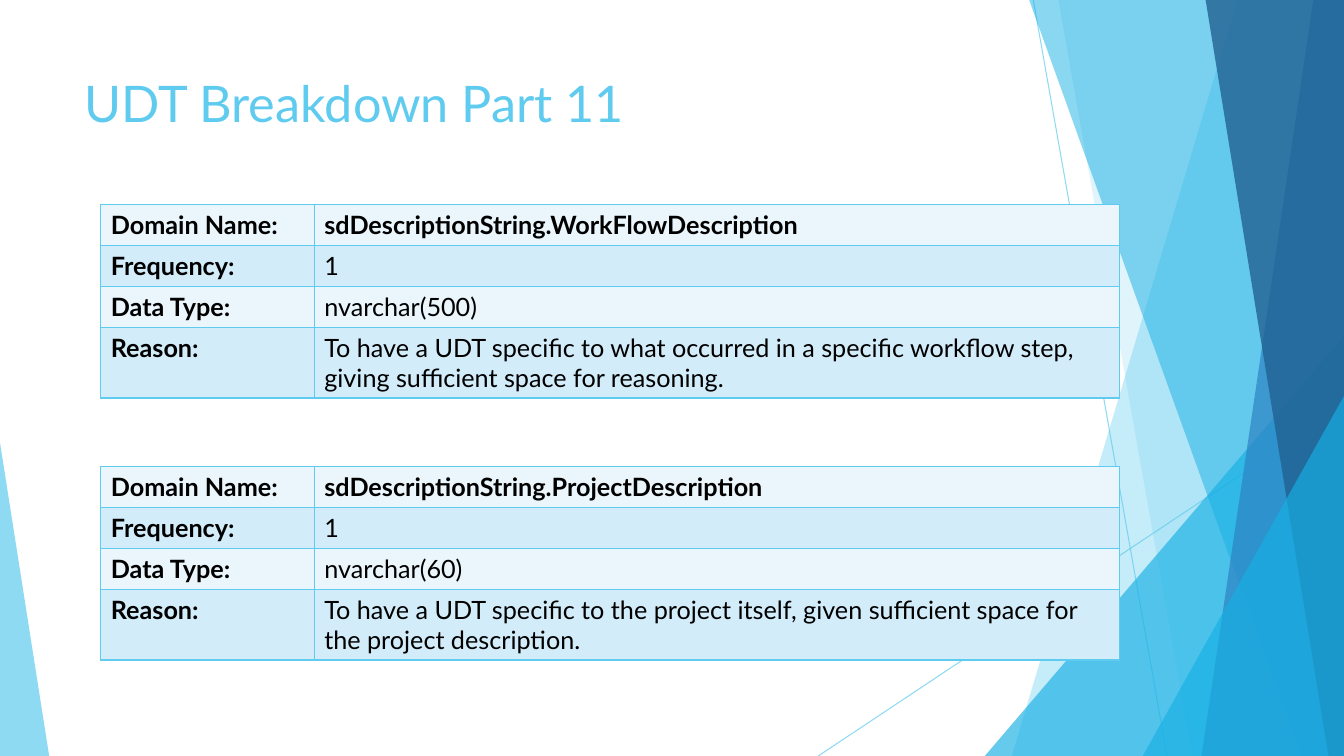
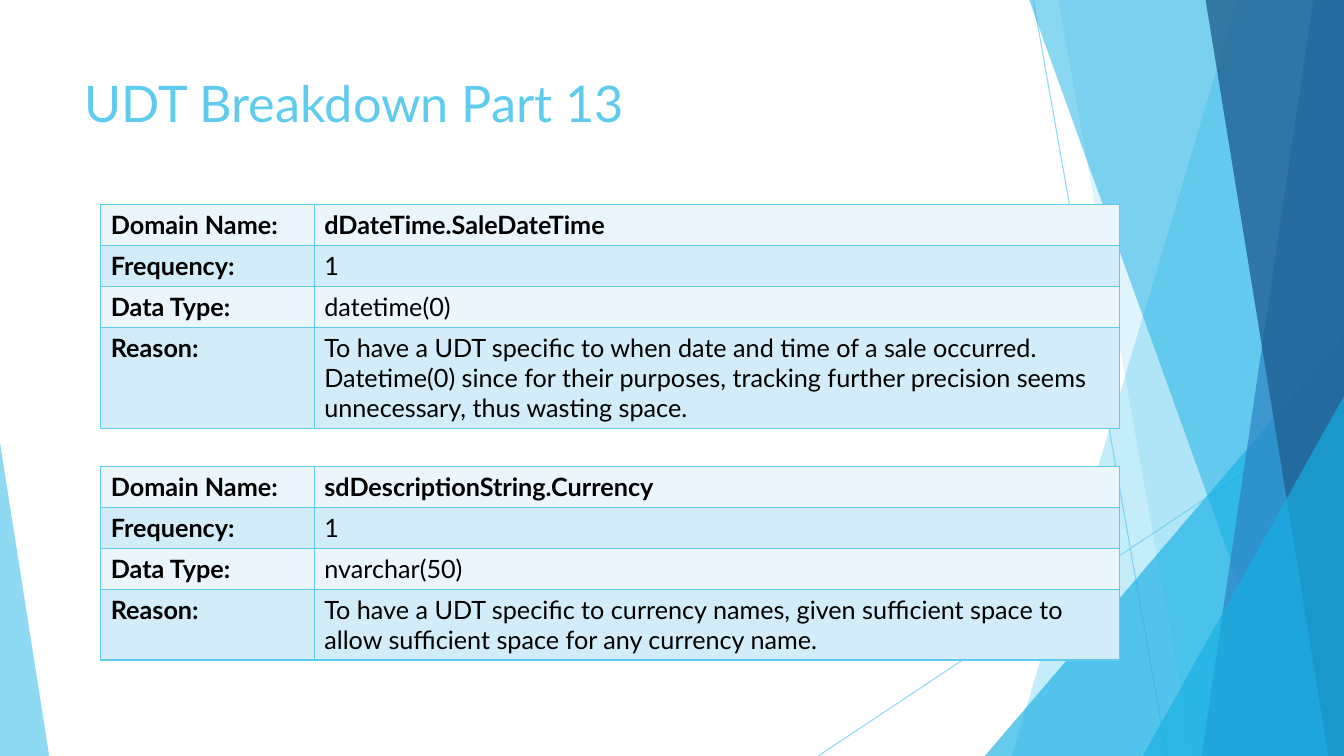
import pptx
import pptx.util
import pptx.dml.color
import pptx.enum.shapes
import pptx.enum.text
import pptx.oxml
import pptx.oxml.ns
from lxml import etree

Cm = pptx.util.Cm
Pt = pptx.util.Pt
RGB = pptx.dml.color.RGBColor.from_string
qn = pptx.oxml.ns.qn

THEME = {
    "sky": "5FCBEF",
    "cyan": "17B0E4",
    "blue": "2E83C3",
    "navy": "226292",
    "text": "000000",
    "bands": ["EAF6FC", "D2ECF9"],
    "title_font": {"name": "Lato", "size": Pt(36), "bold": False},
    "table_font": {"name": "Lato", "size": Pt(18)},
    "rule": Pt(0.75),
    "border": Pt(1),
}

LABELS = ["Domain Name:", "Frequency:", "Data Type:", "Reason:"]
BREAKDOWNS = [
    ("UDT Breakdown Part 11", [
        ["sdDescriptionString.WorkFlowDescription", "1", "nvarchar(500)",
         "To have a UDT specific to what occurred in a specific workflow step, "
         "giving sufficient space for reasoning."],
        ["sdDescriptionString.ProjectDescription", "1", "nvarchar(60)",
         "To have a UDT specific to the project itself, given sufficient space for "
         "the project description."],
    ]),
    ("UDT Breakdown Part 13", [
        ["dDateTime.SaleDateTime", "1", "datetime(0)",
         "To have a UDT specific to when date and time of a sale occurred.\v"
         "Datetime(0) since for their purposes, tracking further precision seems "
         "unnecessary, thus wasting space."],
        ["sdDescriptionString.Currency", "1", "nvarchar(50)",
         "To have a UDT specific to currency names, given sufficient space to "
         "allow sufficient space for any currency name."],
    ]),
]
TABLE_TOPS = [Cm(5.16), Cm(11.76)]
COLUMN_WIDTHS = [Cm(5.38), Cm(20.29)]
ROW_HEIGHT = Cm(1.03)


def set_opacity(part, percent):
    for color in part.element.iter(qn("a:srgbClr")):
        etree.SubElement(color, qn("a:alpha"), val=str(percent * 1000))


def format_runs(text_frame, formats, color):
    for paragraph in text_frame.paragraphs:
        for run in paragraph.runs:
            for attribute, value in formats.items():
                setattr(run.font, attribute, value)
            run.font.color.rgb = RGB(color)


prs = pptx.Presentation()
prs.slide_width = Cm(33.87)
prs.slide_height = Cm(19.05)
right, bottom = prs.slide_width, prs.slide_height

layout = prs.slide_layouts[5]
title_area = {"left": Cm(1.88), "top": Cm(1.7), "width": Cm(23.88), "height": Cm(3.12)}
for attribute, value in title_area.items():
    setattr(layout.placeholders[0], attribute, value)

for heading, domains in BREAKDOWNS:
    slide = prs.slides.add_slide(layout)
    title = slide.shapes.title
    title.text = heading
    title.text_frame.vertical_anchor = pptx.enum.text.MSO_ANCHOR.TOP
    title.text_frame.paragraphs[0].alignment = pptx.enum.text.PP_ALIGN.LEFT
    format_runs(title.text_frame, THEME["title_font"], THEME["sky"])

    for top, details in zip(TABLE_TOPS, domains):
        domain_table = slide.shapes.add_table(
            len(LABELS), 2, Cm(2.54), top, sum(COLUMN_WIDTHS), ROW_HEIGHT * len(LABELS)).table
        domain_table.first_row = False
        domain_table.horz_banding = False
        for column, width in zip(domain_table.columns, COLUMN_WIDTHS):
            column.width = width
        for row, entry in enumerate(zip(LABELS, details)):
            for column, wording in enumerate(entry):
                cell = domain_table.cell(row, column)
                cell.text = wording
                bold = row == 0 or column == 0
                format_runs(cell.text_frame, {**THEME["table_font"], "bold": bold}, THEME["text"])
                properties = cell._tc.get_or_add_tcPr()
                for side in ("a:lnL", "a:lnR", "a:lnT", "a:lnB"):
                    border = etree.SubElement(properties, qn(side), w=str(THEME["border"]))
                    border_fill = etree.SubElement(border, qn("a:solidFill"))
                    etree.SubElement(border_fill, qn("a:srgbClr"), val=THEME["sky"])
                cell.fill.solid()
                cell.fill.fore_color.rgb = RGB(THEME["bands"][row % 2])

canvas = prs.slides[0].shapes
facets = []

for start_x, start_y, end_x, end_y in [
    (Cm(26.04), 0, Cm(29.41), bottom),
    (right, Cm(10.24), Cm(20.62), bottom),
]:
    ray = canvas.add_connector(
        pptx.enum.shapes.MSO_CONNECTOR.STRAIGHT, start_x, start_y, end_x, end_y)
    ray.line.width = THEME["rule"]
    ray.line.color.rgb = RGB(THEME["sky"])
    set_opacity(ray, 70)
    etree.SubElement(ray.element.spPr, qn("a:effectLst"))
    facets.append(ray)

for outline, measures, color, opacity in [
    ("panel", (31.19, 25.5), "sky", 36),
    ("panel", (26.67, 30.05), "sky", 20),
    ("triangle", (24.82, 8.46, 9.05, 1), "cyan", 66),
    ("panel", (25.93, 32.79), "cyan", 50),
    ("panel", (33.1, 30.28), "blue", 70),
    ("panel", (30.38, 33.48), "navy", 80),
    ("triangle", (28.8, 9.98, 5.07, 1), "cyan", 66),
    ("triangle", (0, 11.15, 1.24, 0), "sky", 70),
]:
    if outline == "panel":
        top_x, bottom_x = map(Cm, measures)
        builder = canvas.build_freeform(top_x, Cm(-0.02))
        builder.add_line_segments([(right, Cm(-0.02)), (right, bottom), (bottom_x, bottom)])
        facet = builder.convert_to_shape()
    else:
        left, top, width = map(Cm, measures[:3])
        facet = canvas.add_shape(
            pptx.enum.shapes.MSO_SHAPE.ISOSCELES_TRIANGLE, left, top, width, bottom - top)
        facet.adjustments[0] = measures[3]
    facet.shadow.inherit = False
    facet.fill.solid()
    facet.fill.fore_color.rgb = RGB(THEME[color])
    facet.line.fill.background()
    set_opacity(facet, opacity)
    facets.append(facet)

for position, facet in enumerate(facets):
    facet.element.xpath(".//p:cNvPr")[0].set("id", str(100 + position))
    layout.shapes.element.insert(2 + position, facet.element)

prs.save("out.pptx")
